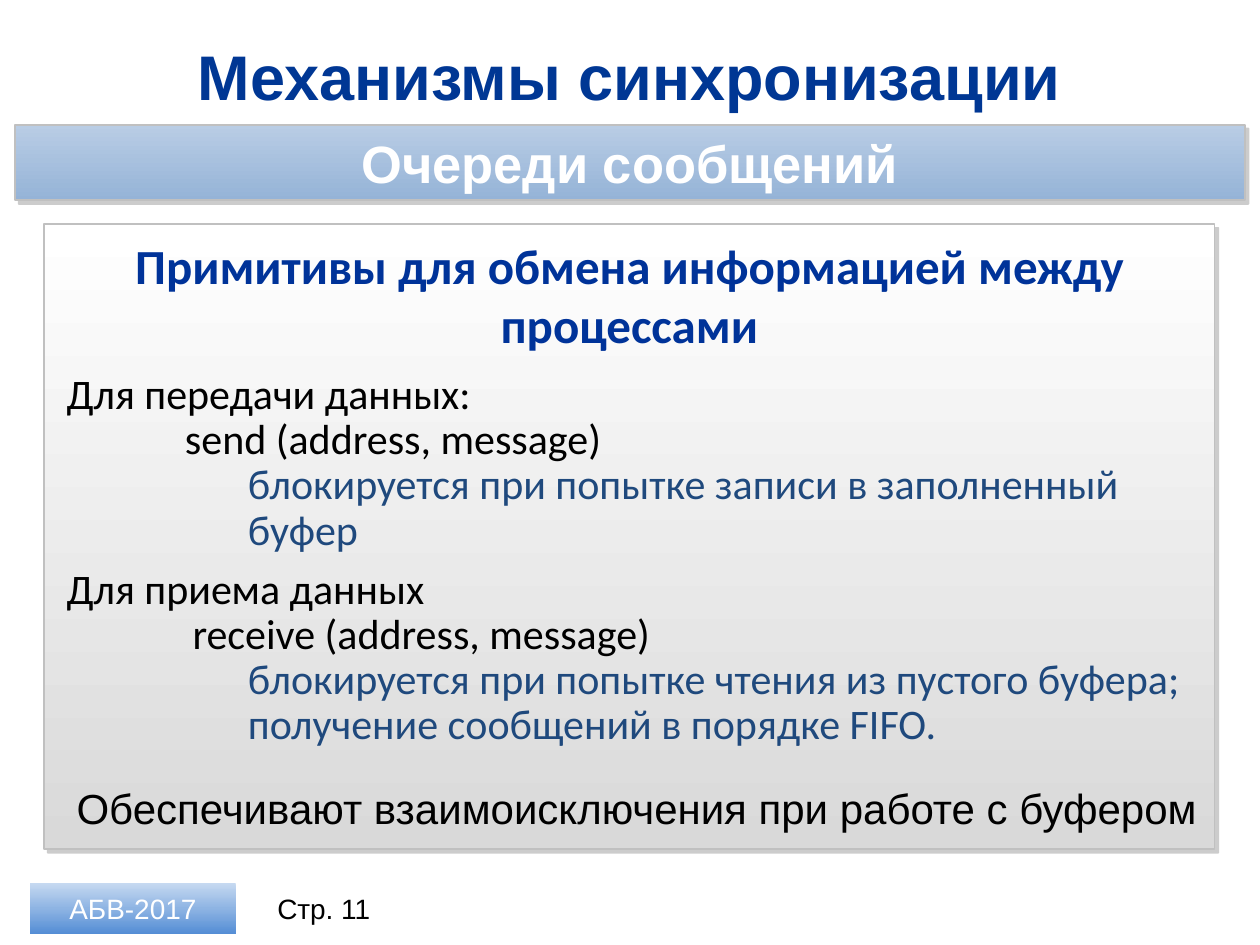
from copy import deepcopy
from dataclasses import dataclass

from lxml.etree import SubElement
from pptx import Presentation
from pptx.dml.color import RGBColor as RGB
from pptx.enum.shapes import MSO_SHAPE
from pptx.enum.text import MSO_ANCHOR as ANCHOR, MSO_AUTO_SIZE as FIT, PP_ALIGN as ALIGN
from pptx.oxml.ns import qn
from pptx.util import Inches, Pt


@dataclass(frozen=True)
class Theme:
    """Colours, fonts and type sizes of the slide."""
    title: str = "003794"
    heading: str = "003399"
    note: str = "1F497D"
    black: str = "000000"
    white: str = "FFFFFF"
    border: str = "C0C0C0"
    shadow: str = "808080"
    band: tuple = ("B9CDE5", "95B3D7")
    panel: tuple = ("FFFFFF", "D9D9D9")
    badge: tuple = ("C6D9F1", "8EB4E3", "558ED5")
    sans: str = "Arial"
    body: str = "Calibri"
    title_size: int = 36
    band_size: int = 30
    heading_size: int = 28
    text_size: int = 24
    footer_size: int = 16


T = Theme()


def style(p, text, size, color, font=T.sans, bold=False, align=ALIGN.LEFT):
    """Fill one paragraph and set its look."""
    p.text = text
    p.alignment = align
    p.font.name, p.font.size, p.font.bold = font, Pt(size), bold
    p.font.color.rgb = RGB.from_string(color)


def set_indent(p, left, first):
    """Set the left margin and first-line indent in inches."""
    pPr = p._p.get_or_add_pPr()
    pPr.set("marL", str(Inches(left)))
    pPr.set("indent", str(Inches(first)))


def fill_down(sp, colors):
    """Fill a shape with evenly spaced colours from top to bottom."""
    sp.fill.gradient()
    sp.fill.gradient_angle = 270
    gs_list = sp._element.spPr.find(".//" + qn("a:gsLst"))
    for _ in colors[2:]:
        gs_list.append(deepcopy(gs_list[0]))
    for i, (stop, color) in enumerate(zip(sp.fill.gradient_stops, colors)):
        stop.position = i / (len(colors) - 1)
        stop.color.rgb = RGB.from_string(color)


def add_shadow(sp):
    """Give a shape a hard shadow to the lower right."""
    effects = sp._element.spPr.find(qn("a:effectLst"))
    outer = SubElement(effects, qn("a:outerShdw"), blurRad="0", dist=str(Pt(3)),
                       dir="2700000", algn="ctr", rotWithShape="0")
    color = SubElement(outer, qn("a:srgbClr"), val=T.shadow)
    SubElement(color, qn("a:alpha"), val="40000")


def add_rect(s, box, colors, raised=True):
    """Add a gradient rectangle, with a border and shadow if raised."""
    sp = s.shapes.add_shape(MSO_SHAPE.RECTANGLE, *map(Inches, box))
    sp.shadow.inherit = False
    fill_down(sp, colors)
    if raised:
        sp.line.color.rgb = RGB.from_string(T.border)
        sp.line.width = Pt(1)
        add_shadow(sp)
    else:
        sp.line.fill.background()
    sp.text_frame.vertical_anchor = ANCHOR.MIDDLE
    return sp


def add_text(s, box, anchor=ANCHOR.TOP):
    """Add a wrapping text box and return its frame."""
    tf = s.shapes.add_textbox(*map(Inches, box)).text_frame
    tf.word_wrap = True
    tf.vertical_anchor = anchor
    return tf


def add_title(s, text):
    """Place and format the title placeholder."""
    sp = s.shapes.title
    sp.left, sp.top, sp.width, sp.height = map(Inches, (0.35, 0.26, 9.29, 0.68))
    tf = sp.text_frame
    tf.auto_size = FIT.NONE
    tf.vertical_anchor = ANCHOR.MIDDLE
    style(tf.paragraphs[0], text, T.title_size, T.title, bold=True, align=ALIGN.CENTER)


def add_primitives(s):
    """Add the heading and the send and receive descriptions."""
    tf = add_text(s, (0.43, 1.82, 9.13, 4.21))
    p = tf.paragraphs[0]
    style(p, "Примитивы для обмена информацией между процессами",
          T.heading_size, T.heading, T.body, True, ALIGN.CENTER)
    p.space_after = Pt(11.2)
    lines = [
        ("Для передачи данных:", T.black, 0, 0, 0.9, 0),
        ("send (address, message)", T.black, 1.25, -0.31, 0.9, 0),
        ("блокируется при попытке записи в заполненный буфер", T.note, 1.44, 0, 0.9, 0),
        ("Для приема данных", T.black, 0, 0, 1.0, 4.8),
        ("receive (address, message)", T.black, 1.25, -0.25, 0.9, 0),
        ("блокируется при попытке чтения из пустого буфера; "
         "получение сообщений в порядке FIFO.", T.note, 1.44, 0, 0.9, 0),
    ]
    for text, color, left, first, spacing, before in lines:
        p = tf.add_paragraph()
        style(p, text, T.text_size, color, T.body)
        set_indent(p, left, first)
        p.line_spacing, p.space_before = spacing, Pt(before)


def add_footer(s):
    """Add the page label and the badge."""
    tf = add_text(s, (2.03, 7.01, 1.08, 0.4), ANCHOR.MIDDLE)
    style(tf.paragraphs[0], "Стр. 11", T.footer_size, T.black, align=ALIGN.CENTER)
    sp = add_rect(s, (0.24, 7.01, 1.63, 0.4), T.badge, raised=False)
    style(sp.text_frame.paragraphs[0], "АБВ-2017", T.footer_size, T.white, align=ALIGN.CENTER)


def main():
    """Build and save the slide."""
    prs = Presentation()
    prs.slide_width, prs.slide_height = Inches(10), Inches(7.5)
    s = prs.slides.add_slide(prs.slide_layouts[5])
    add_title(s, "Механизмы синхронизации")
    add_footer(s)
    band = add_rect(s, (0.12, 0.99, 9.76, 0.6), T.band)
    style(band.text_frame.paragraphs[0], "Очереди сообщений", T.band_size, T.white,
          bold=True, align=ALIGN.CENTER)
    add_rect(s, (0.35, 1.78, 9.29, 4.96), T.panel)
    add_primitives(s)
    tf = add_text(s, (0.51, 6.16, 9.13, 0.5))
    tf.auto_size = FIT.SHAPE_TO_FIT_TEXT
    style(tf.paragraphs[0], "Обеспечивают взаимоисключения при работе с буфером",
          T.text_size, T.black)
    prs.save("out.pptx")


if __name__ == "__main__":
    main()
